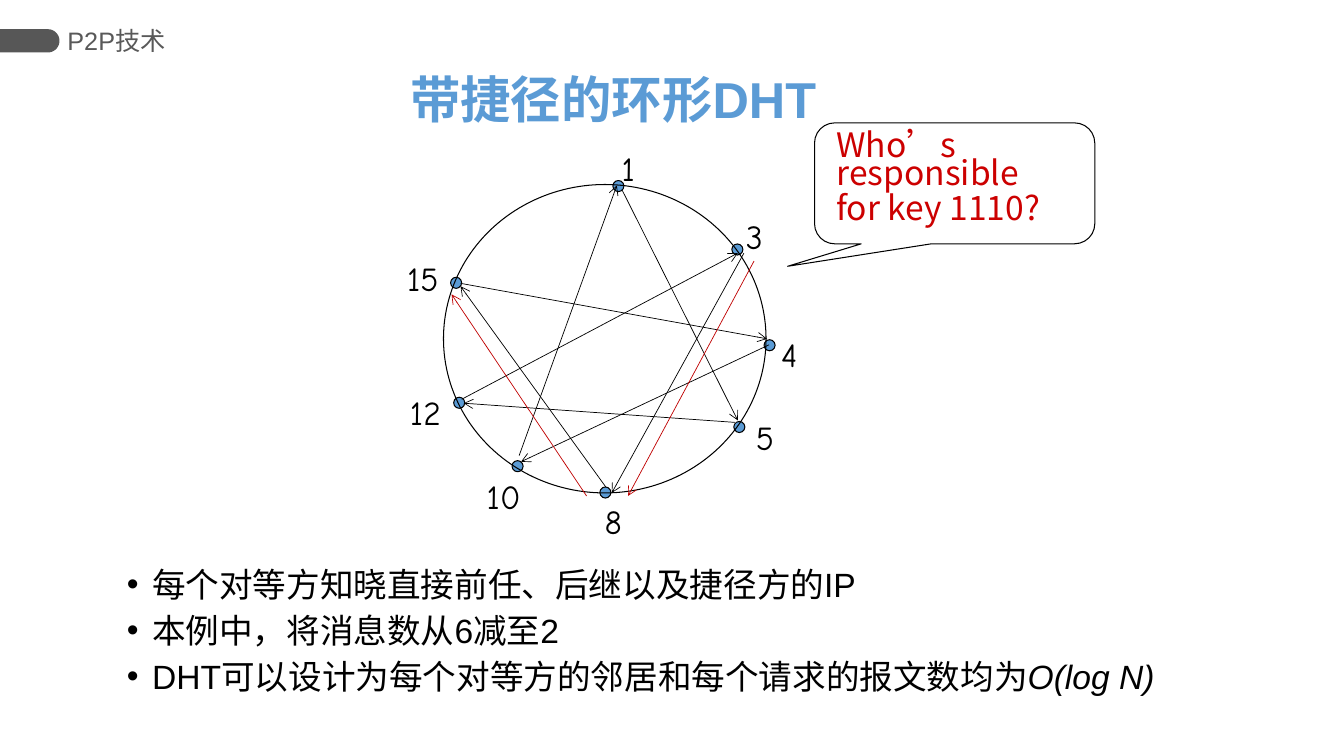
from math import cos, pi, sin

from lxml.etree import SubElement
from pptx import Presentation
from pptx.dml.color import RGBColor
from pptx.enum.shapes import MSO_CONNECTOR, MSO_SHAPE
from pptx.enum.text import MSO_ANCHOR, MSO_AUTO_SIZE, PP_ALIGN
from pptx.oxml.ns import qn
from pptx.util import Pt

COLORS = {"accent": "5B9BD5", "ink": "000000", "tag": "575757",
          "tag_text": "595959", "query": "C00000", "question": "CC0000"}

# Peer: (dot centre, label corner, label width), relative to the ring's box
PEERS = {
    1: ((124.9, 1.1), (120.2, -29.5), 25),
    3: ((209.9, 46.4), (208.8, 18.7), 29.5),
    4: ((232.9, 114.8), (234, 103), 29.5),
    5: ((211.3, 173.2), (216, 162.7), 29.5),
    8: ((115.6, 220), (108, 222.5), 29.5),
    10: ((52.9, 201.2), (23.8, 204.5), 42),
    12: ((11.2, 155.9), (-31, 144.7), 42),
    15: ((9, 70.2), (-33.1, 49), 42),
}
SHORTCUTS = [
    ((232.6, 114.5), (55.4, 198)),
    ((208.1, 169.9), (14.4, 156.2)),
    ((115.9, 216), (12.2, 72.7)),
    ((54, 193.7), (123.8, 0.7)),
    ((13, 153.4), (210.2, 49)),
    ((12.2, 70.6), (231.1, 110.2)),
    ((127.4, 3.6), (210.2, 168.5)),
    ((214.6, 49), (120.2, 220.3)),
]
QUERY_HOPS = [((221.8, 54.7), (131.8, 222.5)), ((102.2, 222.5), (5.8, 78.5))]
BULLETS = [
    ["每个对等方知晓直接前任、后继以及捷径方的IP"],
    ["本例中，将消息数从6减至2"],
    ["DHT可以设计为每个对等方的邻居和每个请求的报文数均为", "O(log N)"],
]


def rgb(name):
    return RGBColor.from_string(COLORS[name])


def style(r, size, color, font="Arial"):
    r.font.size = Pt(size)
    r.font.name = font
    r.font.color.rgb = rgb(color)


def place(sp, x, y, w, h):
    sp.left, sp.top, sp.width, sp.height = Pt(x), Pt(y), Pt(w), Pt(h)


def outline(s, kind, x, y, w, h, fill=None):
    sp = s.shapes.add_shape(kind, Pt(x), Pt(y), Pt(w), Pt(h))
    sp.shadow.inherit = False
    if fill:
        sp.fill.solid()
        sp.fill.fore_color.rgb = rgb(fill)
    else:
        sp.fill.background()
    sp.line.color.rgb = rgb("ink")
    sp.line.width = Pt(0.75)
    return sp


def add_text(s, x, y, w, h, lines, size, color, font="Arial", wrap=True):
    tf = s.shapes.add_textbox(Pt(x), Pt(y), Pt(w), Pt(h)).text_frame
    tf.word_wrap = wrap
    tf.text = "\n".join(lines)
    for p in tf.paragraphs:
        style(p.runs[0], size, color, font)
    return tf


def add_arrow(s, x, y, start, end, color):
    c = s.shapes.add_connector(MSO_CONNECTOR.STRAIGHT, Pt(x + start[0]), Pt(y + start[1]),
                               Pt(x + end[0]), Pt(y + end[1]))
    c.line.color.rgb = rgb(color)
    c.line.width = Pt(0.5)
    SubElement(c.line._get_or_add_ln(), qn("a:tailEnd"), type="arrow")
    SubElement(c._element.spPr, qn("a:effectLst"))


def add_section_tag(s, x, y, w, h):
    """Bar with a rounded right end, followed by the section name."""
    radius = h / 2
    angles = [pi * (i / 24 - 0.5) for i in range(25)]
    arc = [(x + w - radius + radius * cos(a), y + radius + radius * sin(a)) for a in angles]
    fb = s.shapes.build_freeform(Pt(x), Pt(y))
    fb.add_line_segments([(Pt(px), Pt(py)) for px, py in arc + [(x, y + h)]], close=True)
    bar = fb.convert_to_shape()
    bar.shadow.inherit = False
    bar.fill.solid()
    bar.fill.fore_color.rgb = rgb("tag")
    bar.line.fill.background()
    tf = add_text(s, x + w + 5.7, y - 7.2, 339, 30.2, ["P2P技术"], 18, "tag_text")
    tf.margin_left = tf.margin_right = 0
    tf.vertical_anchor = MSO_ANCHOR.MIDDLE


def add_title(s, x, y, w, h):
    title = s.shapes.title
    place(title, x, y, w, h)
    tf = title.text_frame
    tf.text = "带捷径的环形DHT"
    tf.auto_size = MSO_AUTO_SIZE.NONE
    tf.vertical_anchor = MSO_ANCHOR.TOP
    p = tf.paragraphs[0]
    p.alignment = PP_ALIGN.LEFT
    p.line_spacing = 0.9
    style(p.runs[0], 36, "accent")
    p.runs[0].font.bold = True


def add_ring(s, x, y, w, h, dot=7.9):
    for (cx, cy), _, _ in PEERS.values():
        outline(s, MSO_SHAPE.OVAL, x + cx - dot / 2, y + cy - dot / 2, dot, dot, "accent")
    outline(s, MSO_SHAPE.OVAL, x, y, w, h)
    for peer, (_, (lx, ly), lw) in PEERS.items():
        tf = add_text(s, x + lx, y + ly, lw, 36, [str(peer)], 24, "ink", "Comic Neue", False)
        tf.paragraphs[0].space_before = Pt(4.8)
    for color, arrows in (("ink", SHORTCUTS), ("query", QUERY_HOPS)):
        for start, end in arrows:
            add_arrow(s, x, y, start, end, color)


def add_question(s, x, y, w, h):
    bubble = outline(s, MSO_SHAPE.ROUNDED_RECTANGULAR_CALLOUT, x, y, w, h)
    for i, value in enumerate((-0.596, 0.686, 0.167)):
        bubble.adjustments[i] = value
    font = "Noto Sans CJK SC"
    tf = add_text(s, x + 8.6, y + 5.8, w + 6.5, 74.2,
                  ["Who’s responsible", "for key 1110?"], 24, "question", font)
    for p in tf.paragraphs:
        p.line_spacing = Pt(20)
        p.space_before = Pt(4.8)
        rPr = p.runs[0].font._element
        rPr.set("lang", "zh-CN")
        SubElement(rPr, qn("a:ea"), typeface=font)


def add_bullets(s, x, y, w, h):
    body = s.placeholders[1]
    place(body, x, y, w, h)
    tf = body.text_frame
    tf.auto_size = MSO_AUTO_SIZE.NONE
    tf.vertical_anchor = MSO_ANCHOR.TOP
    for i, parts in enumerate(BULLETS):
        p = tf.add_paragraph() if i else tf.paragraphs[0]
        p.line_spacing = 0.8
        p.space_before = Pt(10)
        pPr = p._p.get_or_add_pPr()
        pPr.set("marL", str(Pt(18)))
        pPr.set("indent", str(Pt(-18)))
        SubElement(pPr, qn("a:buChar"), char="•")
        for j, part in enumerate(parts):
            r = p.add_run()
            r.text = part
            style(r, 24, "ink")
            if j:
                r.font.italic = True


def main():
    prs = Presentation()
    prs.slide_width, prs.slide_height = Pt(960), Pt(540)
    s = prs.slides.add_slide(prs.slide_layouts[1])
    add_section_tag(s, 0, 20.9, 42.5, 16.6)
    add_title(s, 285.8, 49.7, 429, 90)
    add_ring(s, 316.8, 131.8, 230.4, 220.3)
    add_question(s, 581.8, 87.8, 200.2, 86.4)
    add_bullets(s, 83.5, 404.6, 900, 131.8)
    prs.save("out.pptx")


if __name__ == "__main__":
    main()
